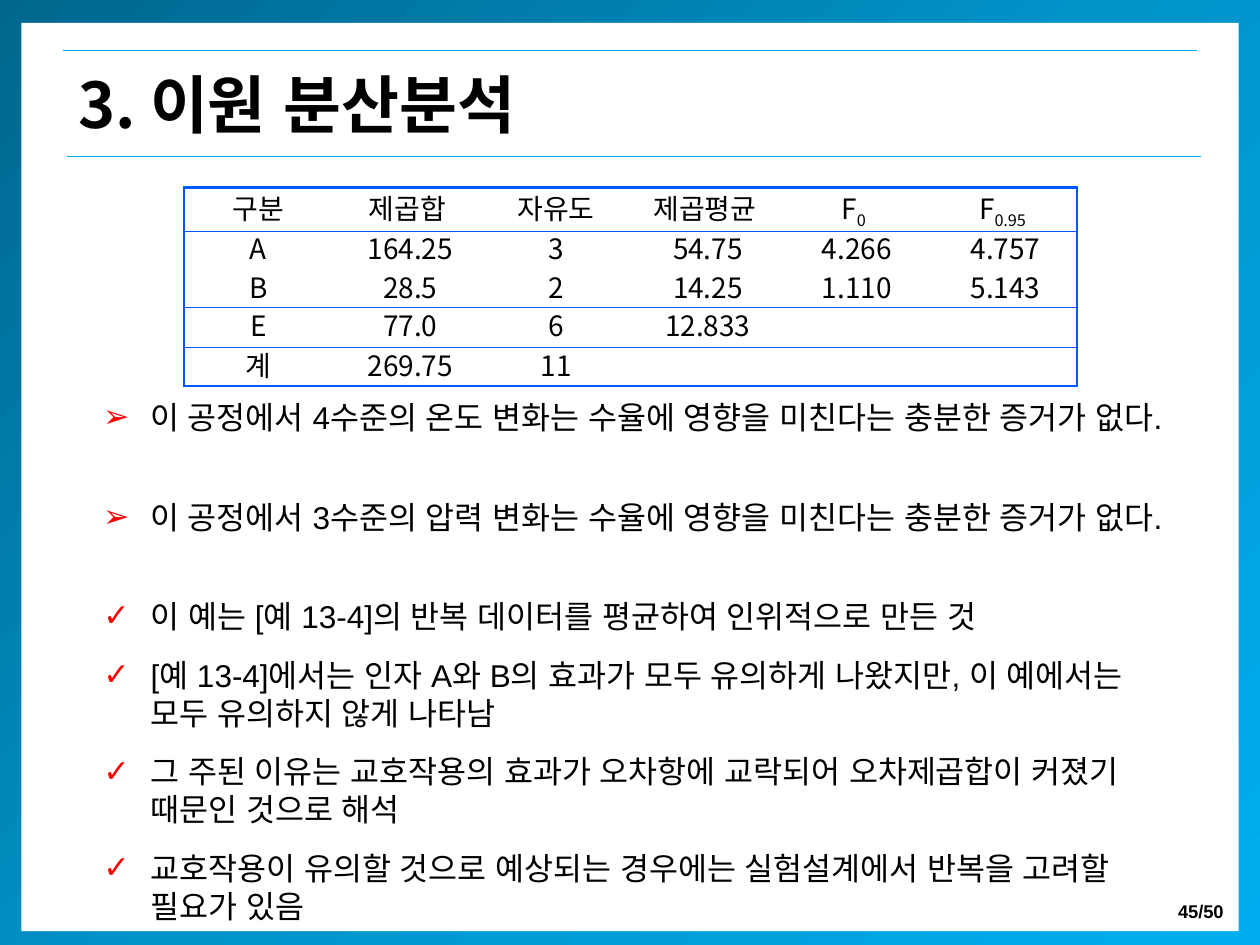
from dataclasses import dataclass
from copy import deepcopy

from lxml.etree import SubElement
from pptx import Presentation
from pptx.dml.color import RGBColor
from pptx.enum.shapes import MSO_CONNECTOR, MSO_SHAPE
from pptx.enum.text import MSO_ANCHOR, MSO_AUTO_SIZE, PP_ALIGN
from pptx.oxml.ns import qn
from pptx.util import Cm, Pt

BLACK = RGBColor(0x00, 0x00, 0x00)
WHITE = RGBColor(0xFF, 0xFF, 0xFF)
RED = RGBColor(0xFF, 0x00, 0x00)
SKY = RGBColor(0x00, 0xAE, 0xEF)
MID_BLUE = RGBColor(0x00, 0x93, 0xC9)
DEEP_BLUE = RGBColor(0x00, 0x67, 0x8E)
TABLE_BLUE = RGBColor(0x00, 0x59, 0xFF)
HANGUL_FONT = "Noto Sans CJK KR"
LATIN_FONT = "Arial"
THICK, THIN = Pt(1.7), Pt(0.28)


@dataclass
class Rule:
    left: float
    top: float


@dataclass
class Conclusion:
    top: float
    text: str


RULES = [Rule(1.27, 1.02), Rule(1.35, 3.15)]
CONCLUSIONS = [
    Conclusion(7.9, "이 공정에서 4수준의 온도 변화는 수율에 영향을 미친다는 충분한 증거가 없다."),
    Conclusion(9.91, "이 공정에서 3수준의 압력 변화는 수율에 영향을 미친다는 충분한 증거가 없다."),
]
REMARKS = [
    "이 예는 [예 13-4]의 반복 데이터를 평균하여 인위적으로 만든 것",
    "[예 13-4]에서는 인자 A와 B의 효과가 모두 유의하게 나왔지만, 이 예에서는 모두 유의하지 않게 나타남",
    "그 주된 이유는 교호작용의 효과가 오차항에 교락되어 오차제곱합이 커졌기 때문인 것으로 해석",
    "교호작용이 유의할 것으로 예상되는 경우에는 실험설계에서 반복을 고려할 필요가 있음",
]
# An underscore separates a symbol from its subscript
ANOVA = [
    ["구분", "제곱합", "자유도", "제곱평균", "F_0", "F_0.95"],
    ["A", "164.25", "3", "54.75", "4.266", "4.757"],
    ["B", "28.5", "2", "14.25", "1.110", "5.143"],
    ["E", "77.0", "6", "12.833", "", ""],
    ["계", "269.75", "11", "", "", ""],
]
RULED_ROWS = {0, 2, 3}


def format_run(run, size: float, latin: str, bold: bool = False,
               east_asian: str = LATIN_FONT) -> None:
    run.font.size, run.font.bold, run.font.name = Pt(size), bold, latin
    run.font.color.rgb = BLACK
    SubElement(run.font._element, qn("a:ea")).set("typeface", east_asian)


def add_panel(slide, left: float, top: float, width: float, height: float):
    panel = slide.shapes.add_shape(MSO_SHAPE.RECTANGLE, Cm(left), Cm(top), Cm(width), Cm(height))
    panel.shadow.inherit = False
    panel.line.fill.background()
    return panel


def add_rule(slide, rule: Rule) -> None:
    line = slide.shapes.add_connector(
        MSO_CONNECTOR.STRAIGHT, Cm(rule.left), Cm(rule.top), Cm(rule.left + 22.86), Cm(rule.top))
    line.line.color.rgb, line.line.width = SKY, Pt(0.75)
    SubElement(line._element.spPr, qn("a:effectLst"))


def place(shape, left: float, top: float, width: float, height: float) -> None:
    shape.left, shape.top, shape.width, shape.height = Cm(left), Cm(top), Cm(width), Cm(height)


def fill_bullets(frame, texts: list[str], mark: str, space_after: float) -> None:
    frame.text = "\n".join(texts)
    frame.word_wrap = True
    frame.auto_size = MSO_AUTO_SIZE.NONE
    for paragraph in frame.paragraphs:
        paragraph.space_before, paragraph.space_after = Pt(0), Pt(space_after)
        properties = paragraph._p.get_or_add_pPr()
        properties.set("marL", str(Cm(0.95)))
        properties.set("indent", str(-Cm(0.95)))
        colour = SubElement(properties, qn("a:buClr"))
        SubElement(colour, qn("a:srgbClr")).set("val", str(RED))
        SubElement(properties, qn("a:buFont")).set("typeface", LATIN_FONT)
        SubElement(properties, qn("a:buChar")).set("char", mark)
        for run in paragraph.runs:
            format_run(run, 18, LATIN_FONT)


def set_borders(cell, row: int, column: int) -> None:
    last_row, last_column = len(ANOVA) - 1, len(ANOVA[0]) - 1
    widths = {
        "a:lnL": THICK if column == 0 else 0,
        "a:lnR": THICK if column == last_column else 0,
        "a:lnT": THICK if row == 0 else THIN if row - 1 in RULED_ROWS else 0,
        "a:lnB": THICK if row == last_row else THIN if row in RULED_ROWS else 0,
    }
    properties = cell._tc.get_or_add_tcPr()
    for position, (tag, width) in enumerate(widths.items()):
        border = properties.makeelement(qn(tag), {"w": str(int(width))})
        properties.insert(position, border)
        if width:
            fill = SubElement(border, qn("a:solidFill"))
            SubElement(fill, qn("a:srgbClr")).set("val", str(TABLE_BLUE))
        else:
            SubElement(border, qn("a:noFill"))


def fill_cell(cell, text: str, row: int, column: int) -> None:
    cell.fill.background()
    cell.vertical_anchor = MSO_ANCHOR.MIDDLE
    numeric = row > 0 and column in (1, 3, 4, 5)
    cell.margin_left = Cm(0 if column == 0 else 0.3 if numeric else 0.18)
    cell.margin_right = Cm(0.18 if column else 0)
    cell.margin_top = cell.margin_bottom = Cm(0.05 if column else 0)
    paragraph = cell.text_frame.paragraphs[0]
    paragraph.alignment = PP_ALIGN.CENTER
    paragraph.line_spacing = 0.8
    for level, part in enumerate(text.split("_") if text else []):
        run = paragraph.add_run()
        run.text = part
        format_run(run, 16, HANGUL_FONT, east_asian=HANGUL_FONT)
        if level:
            run.font._element.set("baseline", "-25000")
    if not text:
        paragraph._p.get_or_add_endParaRPr().set("sz", "1600")
    set_borders(cell, row, column)


presentation = Presentation()
presentation.slide_width, presentation.slide_height = Cm(25.4), Cm(19.05)
slide = presentation.slides.add_slide(presentation.slide_layouts[1])
title, remarks = slide.placeholders

# Gradient frame around the white page
frame_panel = add_panel(slide, 0, -0.1, 25.4, 19.28)
frame_panel.fill.gradient()
frame_panel.fill.gradient_angle = 315
stop_list = frame_panel._element.spPr.find(".//" + qn("a:gsLst"))
stop_list.insert(1, deepcopy(stop_list[0]))
for stop, position, colour in zip(
        frame_panel.fill.gradient_stops, (0, 0.5, 1), (DEEP_BLUE, MID_BLUE, SKY)):
    stop.position, stop.color.rgb = position, colour
page = add_panel(slide, 0.43, 0.46, 24.54, 18.31)
page.fill.solid()
page.fill.fore_color.rgb = WHITE

# Page number
page_number = slide.shapes.add_textbox(Cm(23.32), Cm(18.03), Cm(1.6), Cm(0.71)).text_frame
page_number.text = "45/50"
page_number.word_wrap = False
page_number.paragraphs[0].alignment = PP_ALIGN.RIGHT
format_run(page_number.paragraphs[0].runs[0], 10.5, LATIN_FONT, bold=True)

# Title between two rules
for rule in RULES:
    add_rule(slide, rule)
slide.shapes._spTree.append(title._element)
place(title, 1.32, 1.02, 23.04, 2.13)
title.text_frame.text = "3. 이원 분산분석"
title.text_frame.vertical_anchor = MSO_ANCHOR.MIDDLE
title.text_frame.paragraphs[0].alignment = PP_ALIGN.LEFT
format_run(title.text_frame.paragraphs[0].runs[0], 36, HANGUL_FONT, bold=True)

# Analysis of variance table
anova = slide.shapes.add_table(
    len(ANOVA), len(ANOVA[0]), Cm(3.71), Cm(3.78), Cm(18), Cm(3.96)).table
anova.first_row = anova.horz_banding = False
for row, values in enumerate(ANOVA):
    anova.rows[row].height = Cm(0.77 if row else 0.88)
    for column, value in enumerate(values):
        fill_cell(anova.cell(row, column), value, row, column)

# Conclusions and remarks
for conclusion in CONCLUSIONS:
    box = slide.shapes.add_textbox(Cm(1.83), Cm(conclusion.top), Cm(22), Cm(1.8))
    fill_bullets(box.text_frame, [conclusion.text], "➢", 0)
slide.shapes._spTree.append(remarks._element)
place(remarks, 1.83, 11.91, 22, 6.93)
fill_bullets(remarks.text_frame, REMARKS, "✓", 12)

presentation.save("out.pptx")
